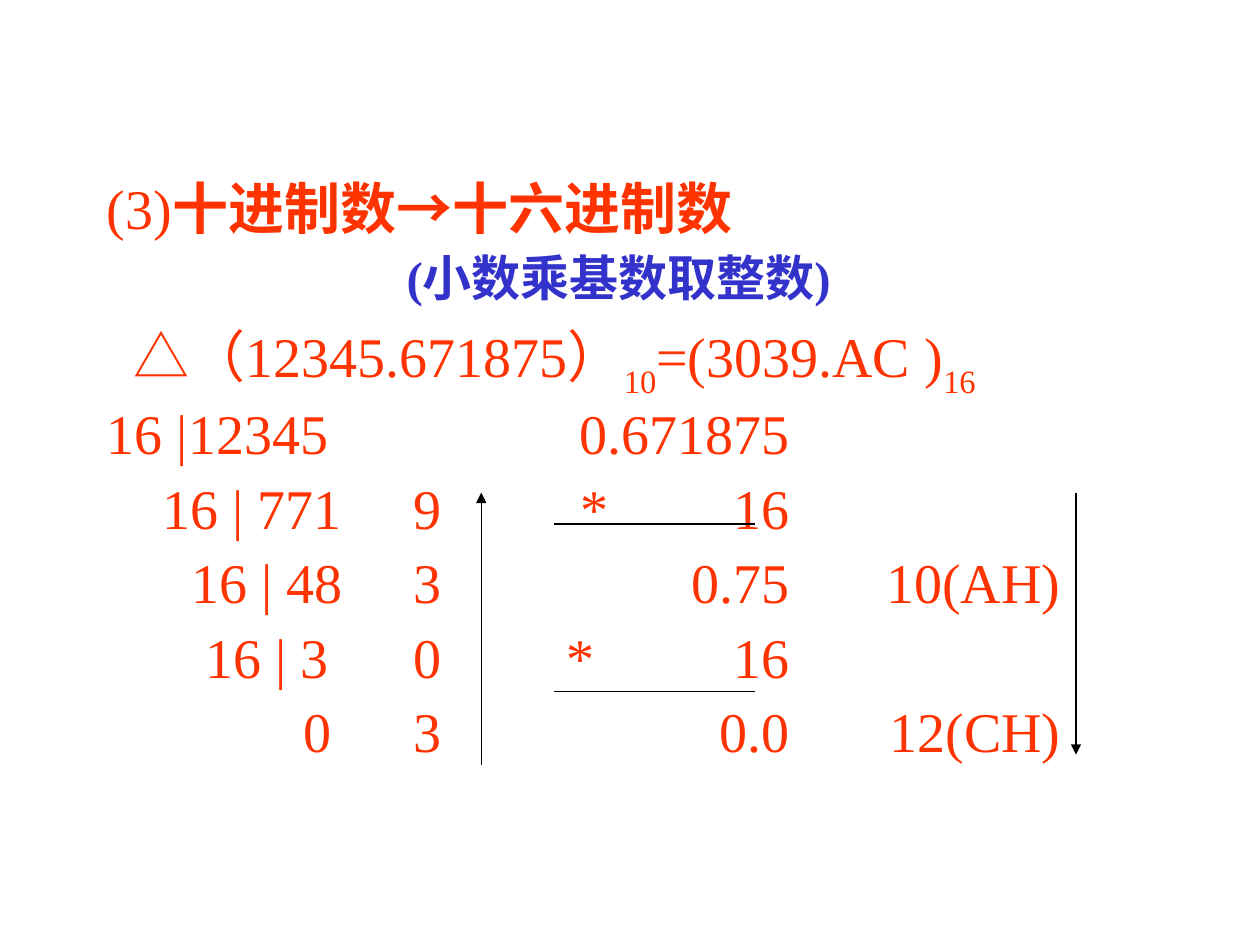
from lxml.etree import SubElement
from pptx import Presentation
from pptx.dml.color import RGBColor
from pptx.enum.shapes import MSO_CONNECTOR
from pptx.oxml.ns import qn
from pptx.util import Inches, Pt

FONT = "Times New Roman"
RED, BLUE, BLACK = "FF3300", "3333CC", "000000"

HEADING = {"size": Pt(32), "bold": True}
METHOD = {"size": Pt(28), "bold": True}
BODY = {"size": Pt(32), "bold": False}

# Tab stops in inches from the text edge: (position, alignment)
REMAINDER = (2.43, "l")
PRODUCT = (5.42, "r")
CARRY = (7.57, "r")


def color(value):
    return RGBColor.from_string(value)


def add_run(paragraph, text, formats, fill=RED, subscript=False):
    run = paragraph.add_run()
    run.text = text
    for name, value in {"name": FONT, **formats}.items():
        setattr(run.font, name, value)
    run.font.color.rgb = color(fill)
    if subscript:
        run.font._element.set("baseline", "-30000")


def add_line(text_frame, stops=(), space_before=8):
    """Return a new paragraph with its spacing and tab stops."""
    first = not text_frame.paragraphs[0].runs
    paragraph = text_frame.paragraphs[0] if first else text_frame.add_paragraph()
    paragraph.line_spacing = 0.9
    paragraph.space_before = Pt(0 if first else space_before)
    if stops:
        tab_list = SubElement(paragraph._p.get_or_add_pPr(), qn("a:tabLst"))
        for position, alignment in stops:
            SubElement(tab_list, qn("a:tab"), pos=str(Inches(position)), algn=alignment)
    return paragraph


def add_conversion_text(slide, left, top, width, height):
    text_frame = slide.shapes.add_textbox(left, top, width, height).text_frame
    text_frame.word_wrap = True

    heading = add_line(text_frame)
    add_run(heading, "(3)", BODY)
    add_run(heading, "十进制数→十六进制数", HEADING)

    method = add_line(text_frame, [(2.38, "l")], space_before=7)
    add_run(method, "\t(小数乘基数取整数)", METHOD, BLUE)

    example = add_line(text_frame, [(0.21, "l")])
    for text, subscript in (("\t△（12345.671875）", False), ("10", True),
                            ("=(3039.AC )", False), ("16", True)):
        add_run(example, text, BODY, subscript=subscript)

    rows = [
        ("16 |12345\t0.671875", [PRODUCT]),
        ("\t16 | 771\t9\t*\t16", [(0.44, "l"), REMAINDER, (3.76, "l"), PRODUCT]),
        ("\t16 | 48\t3\t0.75\t10(AH)", [(0.67, "l"), REMAINDER, PRODUCT, CARRY]),
        ("\t16 | 3\t0\t*\t16", [(0.78, "l"), REMAINDER, (3.65, "l"), PRODUCT]),
        ("\t0\t3\t0.0\t12(CH)", [(1.56, "l"), REMAINDER, PRODUCT, CARRY]),
    ]
    for text, stops in rows:
        add_run(add_line(text_frame, stops), text, BODY)


def add_rule(slide, start, end, arrow=False):
    connector = slide.shapes.add_connector(
        MSO_CONNECTOR.STRAIGHT, *map(Inches, start + end))
    connector.line.color.rgb = color(BLACK)
    connector.line.width = Pt(0.75)
    if arrow:
        SubElement(connector.line._get_or_add_ln(), qn("a:tailEnd"), type="triangle")
    SubElement(connector._element.spPr, qn("a:effectLst"))


def add_working_lines(slide):
    for y in (4.16, 5.49):
        add_rule(slide, (4.4, y), (5.99, y))
    add_rule(slide, (3.82, 6.07), (3.82, 3.91), arrow=True)
    add_rule(slide, (8.54, 3.91), (8.54, 5.99), arrow=True)


def main():
    presentation = Presentation()
    presentation.slide_width = Inches(10)
    presentation.slide_height = Inches(7.5)
    slide = presentation.slides.add_slide(presentation.slide_layouts.get_by_name("Blank"))
    add_conversion_text(slide, Inches(0.75), Inches(1.39), Inches(8.5), Inches(5.28))
    add_working_lines(slide)
    presentation.save("out.pptx")


if __name__ == "__main__":
    main()
